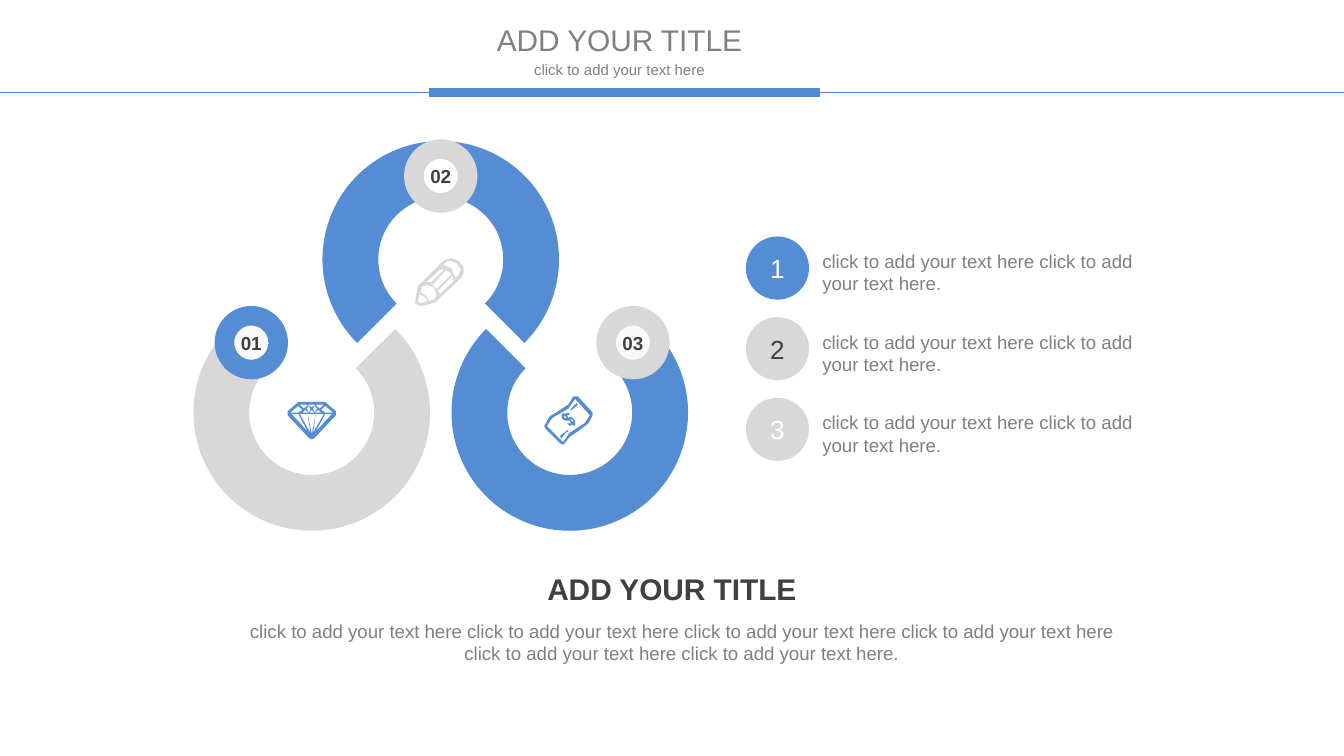
from lxml import etree
from pptx import Presentation
from pptx.dml.color import RGBColor
from pptx.enum.shapes import MSO_CONNECTOR, MSO_SHAPE
from pptx.enum.text import MSO_ANCHOR, MSO_AUTO_SIZE, PP_ALIGN
from pptx.oxml.ns import qn
from pptx.util import Inches, Pt

STRAIGHT = MSO_CONNECTOR.STRAIGHT
ELLIPSE, ARC = MSO_SHAPE.OVAL, MSO_SHAPE.BLOCK_ARC
LEFT, CENTER = PP_ALIGN.LEFT, PP_ALIGN.CENTER
TOP, MIDDLE = MSO_ANCHOR.TOP, MSO_ANCHOR.MIDDLE

COLORS = {"blue": "548DD4", "rule": "4F8AD2", "light": "D8D8D8", "hole": "F9F9F9",
          "white": "FFFFFF", "gray": "808080", "dark": "404040"}
PHRASE = "click to add your text here"
RING_SIZE, RING_WIDTH = 1.76, 0.415
BADGE_SIZE, DOT_SIZE = 0.4, 0.47

# Icon contours in hundredths of an inch from the icon's top left corner.
PENCIL = [
    [(33, 3), (30, 0.7), (26, 0), (21, 2), (4, 19), (2, 21), (0, 31), (0.3, 34),
     (4, 36), (15, 33.3), (34, 15), (36, 11), (36, 7)],
    [(18, 27), (17, 24), (28, 13), (27.5, 18)],
    [(16, 23), (13, 19.5), (23.3, 8.7), (27, 12)],
    [(12, 18.5), (8, 18), (17.5, 9), (22, 8)],
    [(4, 34), (2, 32), (3.3, 27), (7, 29), (9.3, 32.5)],
    [(10.5, 32), (8, 28), (4, 26), (5, 21), (9, 20), (14, 22.5), (15.5, 28), (14, 31)],
    [(32, 13), (30, 15), (27, 8), (21, 5), (23, 3), (26, 2), (31, 4), (34, 9)],
]
DIAMOND_RIGHT = [
    [(20, 8.3), (25.4, 8.3), (22.7, 6)],
    [(21, 8.9), (26.9, 8.9), (19, 23)],
    [(23.5, 5.3), (27, 2.4), (20.5, 2.4)],
    [(27.5, 8.9), (33, 8.9), (21, 21.5)],
    [(28, 8.3), (24.8, 5.5), (28.3, 3), (33.8, 8.3)],
    [(18.8, 5), (20.3, 3.2), (22, 5.3), (19.8, 7.5)],
]
DIAMOND = [
    [(35.5, 7), (29, 0.8), (28, 0), (8, 0), (7, 0.8), (0.5, 7), (0, 8), (0.5, 9.5),
     (16.5, 27), (18, 28), (19.5, 27), (35.5, 9.5), (36, 8)],
    *DIAMOND_RIGHT,
    *[[(36 - x, y) for x, y in contour] for contour in DIAMOND_RIGHT],
    [(18, 5.5), (20.3, 8.3), (15.7, 8.3)],
    [(15, 8.9), (21, 8.9), (18, 24)],
    [(14.5, 2.4), (21.5, 2.4), (18, 4.5)],
]
BILL = [
    [(36, 11.5), (25, 0.5), (22.5, 0), (21, 1), (18, 6), (12, 10), (4, 15), (0, 21.5),
     (0.7, 24), (12, 35), (14, 36), (16, 34), (19, 30), (25, 25.5), (33, 20), (36.5, 14)],
    [(14, 33.5), (2.5, 22), (6, 16.5), (18, 9), (23, 2.5), (34, 13.5), (30, 19.5), (19, 27)],
]
DOLLAR = [
    [(9, 5), (7, 3), (5, 3.5), (3.7, 2), (5, 1.7), (6, 1), (5, 0), (2.5, 0.8), (1, 0.3),
     (0.5, 1.5), (0.3, 4), (1.5, 6), (3.5, 6.3), (5.5, 5.5), (7, 7.5), (6, 8), (5, 7.5),
     (4, 8.5), (6, 9.7), (8.5, 9), (10, 9.5), (9.5, 8), (10, 6.5)],
    [(3.5, 4), (2, 4), (1.7, 3), (2.5, 2)],
    [(8.5, 7), (6.5, 5.3), (8, 5), (9, 6)],
]
STROKE_LOW = [[(5, 0), (3, 2), (0.5, 4), (0, 5.5), (1, 6), (4, 2.5), (6, 1)]]
STROKE_HIGH = [[(5, 0), (2, 3), (0, 5.5), (0.5, 6), (3, 4.5), (5.5, 1)]]


def rgb(name):
    return RGBColor.from_string(COLORS[name])


def box(x, y, w, h):
    return Inches(x), Inches(y), Inches(w), Inches(h)


def write(sp, text, size, color, align=CENTER, anchor=TOP, bold=False, inset=None, wrap=True):
    tf = sp.text_frame
    tf.auto_size = MSO_AUTO_SIZE.NONE
    tf.word_wrap, tf.vertical_anchor = wrap, anchor
    if inset is not None:
        tf.margin_left = tf.margin_right = tf.margin_top = tf.margin_bottom = Inches(inset)
    p = tf.paragraphs[0]
    p.alignment, p.space_before = align, Pt(0)
    r = p.add_run()
    r.text = text
    r.font.name, r.font.size, r.font.bold = "Arial", Pt(size), bold
    r.font.color.rgb = rgb(color)


def paint(sp, color):
    sp.shadow.inherit = False
    sp.fill.solid()
    sp.fill.fore_color.rgb = rgb(color)
    sp.line.fill.background()
    return sp


def add_filled(s, preset, bounds, color):
    return paint(s.shapes.add_shape(preset, *bounds), color)


def add_rule(s, x1, x2, y, width):
    line = s.shapes.add_connector(STRAIGHT, Inches(x1), Inches(y), Inches(x2), Inches(y))
    line.line.color.rgb = rgb("rule")
    line.line.width = Pt(width)
    etree.SubElement(line._element.spPr, qn("a:effectLst"))


def add_icon(s, contours, x, y, color):
    """Draw closed contours as one shape; inner contours become holes."""
    first, *rest = contours
    fb = s.shapes.build_freeform(*first[0], scale=Inches(0.01))
    fb.add_line_segments(first[1:])
    for contour in rest:
        fb.move_to(*contour[0])
        fb.add_line_segments(contour[1:])
    paint(fb.convert_to_shape(Inches(x), Inches(y)), color)


def add_header(s, x, y, w):
    title, subtitle = s.placeholders
    title.left, title.top, title.width, title.height = box(x, y, w, 0.37)
    write(title, "ADD YOUR TITLE", 16, "gray", wrap=False)
    subtitle.left, subtitle.top, subtitle.width, subtitle.height = box(x, y + 0.29, w, 0.24)
    write(subtitle, PHRASE, 8, "gray")
    add_rule(s, 0, 10, 0.69, 0.75)
    add_rule(s, 3.19, 6.1, 0.69, 5)


def add_ring(s, x, y, start, end, color):
    """Open ring running clockwise from start to end, in degrees from the right."""
    ring = add_filled(s, ARC, box(x, y, RING_SIZE, RING_SIZE), color)
    for i, value in enumerate((start * 0.6, end * 0.6, RING_WIDTH / RING_SIZE)):
        ring.adjustments[i] = value


def add_badge(s, x, y, label, color, hole):
    badge = add_filled(s, ELLIPSE, box(x, y, BADGE_SIZE, BADGE_SIZE), hole)
    badge.line.color.rgb = rgb(color)
    badge.line.width = Pt(10.5)
    write(badge, label, 10.1, "dark", anchor=MIDDLE, bold=True, inset=0, wrap=False)


def add_ring_diagram(s, x, y):
    add_ring(s, x, y + 1.14, 315, 225, "light")
    add_ring(s, x + 1.92, y + 1.14, 315, 225, "blue")
    add_ring(s, x + 0.96, y, 135, 45, "blue")
    add_badge(s, x + 0.23, y + 1.3, "01", "blue", "hole")
    add_badge(s, x + 1.64, y + 0.06, "02", "light", "white")
    add_badge(s, x + 3.07, y + 1.3, "03", "light", "hole")
    add_icon(s, PENCIL, x + 1.65, y + 0.87, "light")
    add_icon(s, DIAMOND, x + 0.7, y + 1.94, "blue")
    bill_x, bill_y = x + 2.61, y + 1.9
    for contours, dx, dy in ((BILL, 0, 0), (DOLLAR, 0.13, 0.12),
                             (STROKE_LOW, 0.12, 0.25), (STROKE_HIGH, 0.19, 0.05)):
        add_icon(s, contours, bill_x + dx, bill_y + dy, "blue")


def add_numbered_list(s, x, y, pitch):
    styles = (("blue", "white"), ("light", "dark"), ("light", "white"))
    for i, (fill, color) in enumerate(styles):
        top = y + i * pitch
        dot = add_filled(s, ELLIPSE, box(x, top, DOT_SIZE, DOT_SIZE), fill)
        write(dot, str(i + 1), 14, color, anchor=MIDDLE, inset=0)
        text = s.shapes.add_textbox(*box(x + DOT_SIZE, top + 0.05, 2.58, 0.65))
        write(text, f"{PHRASE} {PHRASE}.", 10, "gray", LEFT)


def add_summary(s, x, y, w):
    heading = s.shapes.add_textbox(*box(3.81, y, 2.38, 0.27))
    write(heading, "ADD YOUR TITLE", 16, "dark", bold=True, inset=0)
    body = s.shapes.add_textbox(*box(x, y + 0.36, w, 0.34))
    write(body, " ".join([PHRASE] * 6) + ".", 10, "gray", inset=0)


def main():
    prs = Presentation()
    prs.slide_width = Inches(10)
    prs.slide_height = prs.slide_width * 9 // 16
    s = prs.slides.add_slide(prs.slide_layouts[0])
    add_header(s, 3.58, 0.11, 2.06)
    add_ring_diagram(s, 1.44, 1.05)
    add_numbered_list(s, 5.55, 1.76, 0.6)
    add_summary(s, 1.72, 4.25, 6.7)
    prs.save("out.pptx")


if __name__ == "__main__":
    main()
